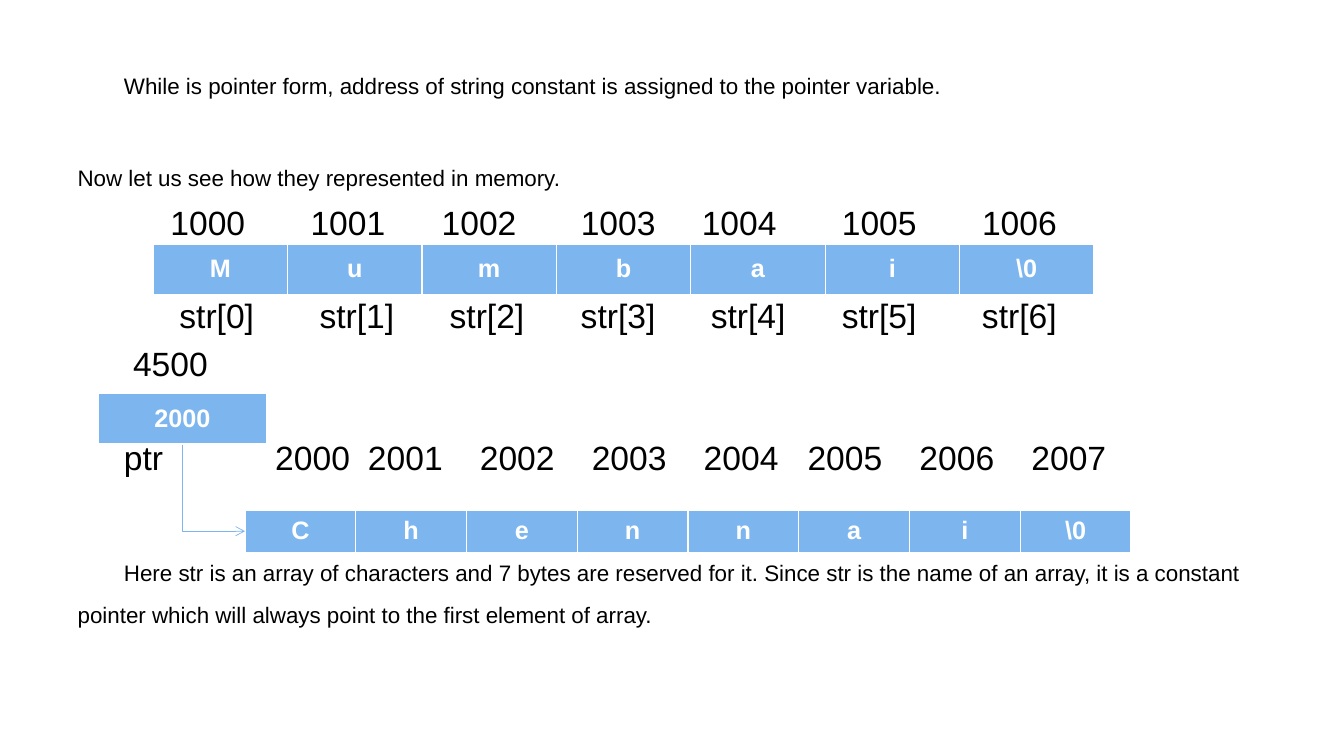
import dataclasses

import lxml.etree
import pptx
import pptx.dml.color
import pptx.enum.shapes
import pptx.enum.text
import pptx.oxml.ns
import pptx.slide
import pptx.text.text
import pptx.util
from pptx.util import Inches

FONT = "Arial"
BLACK = "000000"
WHITE = "FFFFFF"
BLUE = "7DB6EF"
BODY_LEFT = 0.77
BODY_WIDTH = 11.8
FIRST_LINE_INDENT = 0.46


@dataclasses.dataclass(frozen=True)
class Sentence:
    text: str
    top: float
    height: float
    indent: float


@dataclasses.dataclass(frozen=True)
class LabelRow:
    labels: list[str]
    top: float
    lefts: list[float]


@dataclasses.dataclass(frozen=True)
class MemoryCells:
    values: list[str]
    left: float
    top: float
    width: float
    height: float


SENTENCES = [
    Sentence("While is pointer form, address of string constant is assigned to the pointer variable.",
             0.57, 0.42, FIRST_LINE_INDENT),
    Sentence("Now let us see how they represented in memory.", 1.48, 0.42, 0),
    Sentence("Here str is an array of characters and 7 bytes are reserved for it. Since str is the name "
             "of an array, it is a constant pointer which will always point to the first element of array.",
             5.4, 0.84, FIRST_LINE_INDENT),
]

LABEL_ROWS = [
    LabelRow([str(1000 + index) for index in range(7)], 2.0,
             [1.69, 3.08, 4.38, 5.76, 6.96, 8.35, 9.74]),
    LabelRow([f"str[{index}]" for index in range(7)], 2.93,
             [1.78, 3.17, 4.46, 5.76, 7.05, 8.35, 9.74]),
    LabelRow(["4500"], 3.4, [1.32]),
    LabelRow(["ptr"] + [str(2000 + index) for index in range(8)], 4.33,
             [1.23, 2.73, 3.65, 4.76, 5.87, 6.98, 8.01, 9.12, 10.23]),
]

MEMORY = [
    MemoryCells([*"Mumbai", "\\0"], 1.52, 2.42, 9.33, 0.5),
    MemoryCells([*"Chennai", "\\0"], 2.43, 5.06, 8.79, 0.42),
    MemoryCells(["2000"], 0.98, 3.9, 1.66, 0.5),
]


def color(value: str) -> pptx.dml.color.RGBColor:
    return pptx.dml.color.RGBColor.from_string(value)


def format_runs(para: pptx.text.text._Paragraph, size: int, ink: str, bold: bool = False) -> None:
    for span in para.runs:
        span.font.name = FONT
        span.font.size = pptx.util.Pt(size)
        span.font.bold = bold
        span.font.color.rgb = color(ink)


def add_text(page: pptx.slide.Slide, text: str, left: float, top: float,
             width: float, height: float, size: int) -> pptx.text.text._Paragraph:
    box = page.shapes.add_textbox(Inches(left), Inches(top), Inches(width), Inches(height))
    frame = box.text_frame
    frame.margin_left = frame.margin_right = frame.margin_top = frame.margin_bottom = 0
    frame.word_wrap = True
    frame.text = text
    para = frame.paragraphs[0]
    format_runs(para, size, BLACK)
    return para


def add_sentence(page: pptx.slide.Slide, sentence: Sentence) -> None:
    para = add_text(page, sentence.text, BODY_LEFT, sentence.top, BODY_WIDTH, sentence.height, 16)
    para.line_spacing = pptx.util.Pt(30)
    para._p.get_or_add_pPr().set("indent", str(Inches(sentence.indent)))


def add_label_row(page: pptx.slide.Slide, row: LabelRow) -> None:
    start = row.lefts[0]
    width = row.lefts[-1] - start + 1
    para = add_text(page, "\t".join(row.labels), start, row.top, width, 0.4, 24)
    if len(row.lefts) > 1:
        properties = para._p.get_or_add_pPr()
        stops = lxml.etree.SubElement(properties, pptx.oxml.ns.qn("a:tabLst"))
        for left in row.lefts[1:]:
            lxml.etree.SubElement(stops, pptx.oxml.ns.qn("a:tab"),
                                  pos=str(Inches(left - start)), algn="l")


def add_memory(page: pptx.slide.Slide, memory: MemoryCells) -> None:
    count = len(memory.values)
    table = page.shapes.add_table(1, count, Inches(memory.left), Inches(memory.top),
                                  Inches(memory.width), Inches(memory.height)).table
    for column, value in enumerate(memory.values):
        table.columns[column].width = Inches(memory.width / count)
        cell = table.cell(0, column)
        cell.fill.solid()
        cell.fill.fore_color.rgb = color(BLUE)
        cell.vertical_anchor = pptx.enum.text.MSO_ANCHOR.MIDDLE
        cell.text_frame.text = value
        para = cell.text_frame.paragraphs[0]
        para.alignment = pptx.enum.text.PP_ALIGN.CENTER
        format_runs(para, 18, WHITE, bold=True)


def add_pointer_arrow(page: pptx.slide.Slide) -> None:
    arrow = page.shapes.add_connector(pptx.enum.shapes.MSO_CONNECTOR.ELBOW,
                                      Inches(1.69), Inches(5.15), Inches(2.55), Inches(4.53))
    arrow.line.color.rgb = color(BLUE)
    arrow.line.width = pptx.util.Pt(0.5)
    properties = arrow._element.spPr
    properties.find(pptx.oxml.ns.qn("a:xfrm")).set("rot", str(90 * 60000))
    properties.find(pptx.oxml.ns.qn("a:prstGeom")).set("prst", "bentConnector2")
    outline = properties.find(pptx.oxml.ns.qn("a:ln"))
    lxml.etree.SubElement(outline, pptx.oxml.ns.qn("a:tailEnd"), type="arrow")
    lxml.etree.SubElement(properties, pptx.oxml.ns.qn("a:effectLst"))


deck = pptx.Presentation()
deck.slide_width = Inches(13.33)
deck.slide_height = Inches(7.5)
page = deck.slides.add_slide(deck.slide_layouts.get_by_name("Blank"))
for sentence in SENTENCES:
    add_sentence(page, sentence)
for row in LABEL_ROWS:
    add_label_row(page, row)
for memory in MEMORY:
    add_memory(page, memory)
add_pointer_arrow(page)
deck.save("out.pptx")
